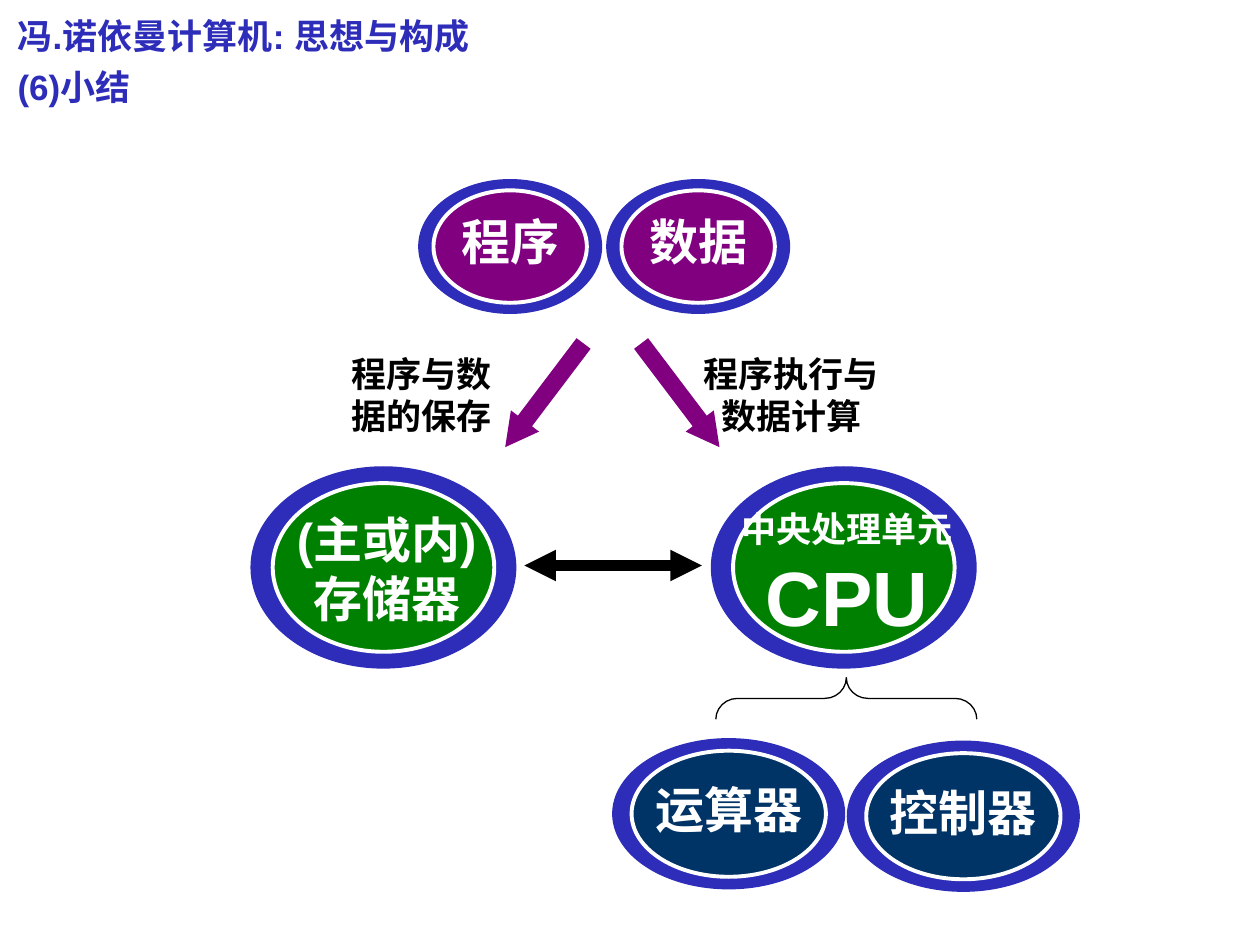
from lxml import etree
from pptx import Presentation
from pptx import util as u
from pptx.dml.color import RGBColor
from pptx.enum import shapes, text
from pptx.oxml import ns

COLORS = {
    "blue": "2D2DB9", "purple": "800080", "green": "008000",
    "navy": "003366", "white": "FFFFFF", "black": "000000",
}
LATIN, HAN = "Arial", "Noto Sans CJK SC"
LEFT, CENTER = text.PP_ALIGN.LEFT, text.PP_ALIGN.CENTER
RING_RATIO = 5 / 6


def color(name):
    return RGBColor.from_string(COLORS[name])


def cm(box):
    return [u.Cm(length) for length in box]


def fill_frame(frame, lines, ink, align, spacing=None):
    frame.auto_size = text.MSO_AUTO_SIZE.SHAPE_TO_FIT_TEXT
    frame.vertical_anchor = text.MSO_ANCHOR.TOP
    for index, (words, size) in enumerate(lines):
        para = frame.paragraphs[0] if index == 0 else frame.add_paragraph()
        para.alignment = align
        if spacing:
            para.line_spacing = spacing
        for part, piece in enumerate(words.split("\n")):
            if part:
                para.add_line_break()
            span = para.add_run()
            span.text = piece
            span.font.size = u.Pt(size)
            span.font.bold = True
            span.font.name = LATIN
            span.font.color.rgb = color(ink)
            east = etree.SubElement(span.font._element, ns.qn("a:ea"))
            east.set("typeface", HAN)


def add_text(page, box, lines, ink, align=CENTER):
    frame = page.shapes.add_textbox(*cm(box)).text_frame
    frame.word_wrap = True
    fill_frame(frame, lines, ink, align)


def add_solid(page, kind, box, fill, outline=None):
    shape = page.shapes.add_shape(kind, *cm(box))
    shape.shadow.inherit = False
    shape.fill.solid()
    shape.fill.fore_color.rgb = color(fill)
    if outline:
        shape.line.color.rgb = color(outline)
        shape.line.width = u.Pt(2.25)
    else:
        shape.line.fill.background()
    return shape


def add_medallion(page, box, fill, lines, label_top, label_height, wide=False):
    left, top, width, height = box
    inner_width, inner_height = width * RING_RATIO, height * RING_RATIO
    inner_left = left + (width - inner_width) / 2
    inner_top = top + (height - inner_height) / 2
    oval = shapes.MSO_SHAPE.OVAL
    add_solid(page, oval, box, "blue")
    add_solid(page, oval, (inner_left, inner_top, inner_width, inner_height),
              fill, "white")
    label_left, label_width = (left, 5.49) if wide else (inner_left, inner_width)
    add_text(page, (label_left, top + label_top, label_width, label_height),
             lines, "white")


def add_title(page, box):
    title = page.shapes.title
    title.left, title.top, title.width, title.height = cm(box)
    title.text_frame.word_wrap = False
    fill_frame(title.text_frame,
               [("冯.诺依曼计算机: 思想与构成", 20), ("(6)小结", 20)],
               "blue", LEFT, 1.2)


def add_inputs(page, left, top):
    for index, name in enumerate(("程序", "数据")):
        add_medallion(page, (left + index * 3.79, top, 3.71, 2.72), "purple",
                      [(name, 28)], 0.53, 1.45)


def add_flows(page, left, top):
    for offset, turn in ((3.79, 37.1), (6.53, -37.1)):
        arrow = add_solid(page, shapes.MSO_SHAPE.DOWN_ARROW,
                          (left + offset, top - 0.33, 0.71, 2.62), "purple")
        arrow.adjustments[0] = 0.5
        arrow.adjustments[1] = 0.93
        arrow.rotation = turn
    add_text(page, (left, top, 3.45, 1.96),
             [("程序与数据的保存", 20)], "black", LEFT)
    add_text(page, (left + 7.04, top, 4.17, 1.96),
             [("程序执行与数据计算", 20)], "black")


def add_core(page, left, top):
    size = (5.36, 4.08)
    add_medallion(page, (left, top, *size), "green",
                  [("(主或内)\n存储器", 28)], 0.74, 2.64, True)
    add_medallion(page, (left + 9.28, top, *size), "green",
                  [("中央处理单元", 20), ("CPU", 44)], 0.71, 2.97, True)
    level = top + 2
    link = page.shapes.add_connector(
        shapes.MSO_CONNECTOR.STRAIGHT,
        *cm((left + 5.52, level, left + 9.1, level)))
    link.line.color.rgb = color("black")
    link.line.width = u.Pt(6)
    for end in ("headEnd", "tailEnd"):
        etree.SubElement(link.line._get_or_add_ln(), ns.qn("a:" + end),
                         type="triangle")
    etree.SubElement(link._element.spPr, ns.qn("a:effectLst"))


def add_units(page, left, top):
    brace = page.shapes.add_shape(
        shapes.MSO_SHAPE.LEFT_BRACE,
        *cm((left + 4.3, top - 3.43, 0.84, 5.26)))
    brace.shadow.inherit = False
    brace.fill.background()
    brace.line.color.rgb = color("black")
    brace.line.width = u.Pt(0.75)
    brace.adjustments[0] = 0.52
    brace.rotation = 90
    for index, name in enumerate(("运算器", "控制器")):
        box = (left + index * 4.73, top + index * 0.05, 4.7, 3.05)
        add_medallion(page, box, "navy", [(name, 28)], 0.71, 1.45)


def main():
    deck = Presentation()
    deck.slide_width, deck.slide_height = cm((25.4, 19.05))
    page = deck.slides.add_slide(deck.slide_layouts[5])
    add_title(page, (0.1, 0, 10.29, 2.29))
    add_units(page, 12.34, 14.88)
    add_core(page, 5.05, 9.4)
    add_inputs(page, 8.43, 3.61)
    add_flows(page, 6.83, 6.99)
    deck.save("out.pptx")


if __name__ == "__main__":
    main()
